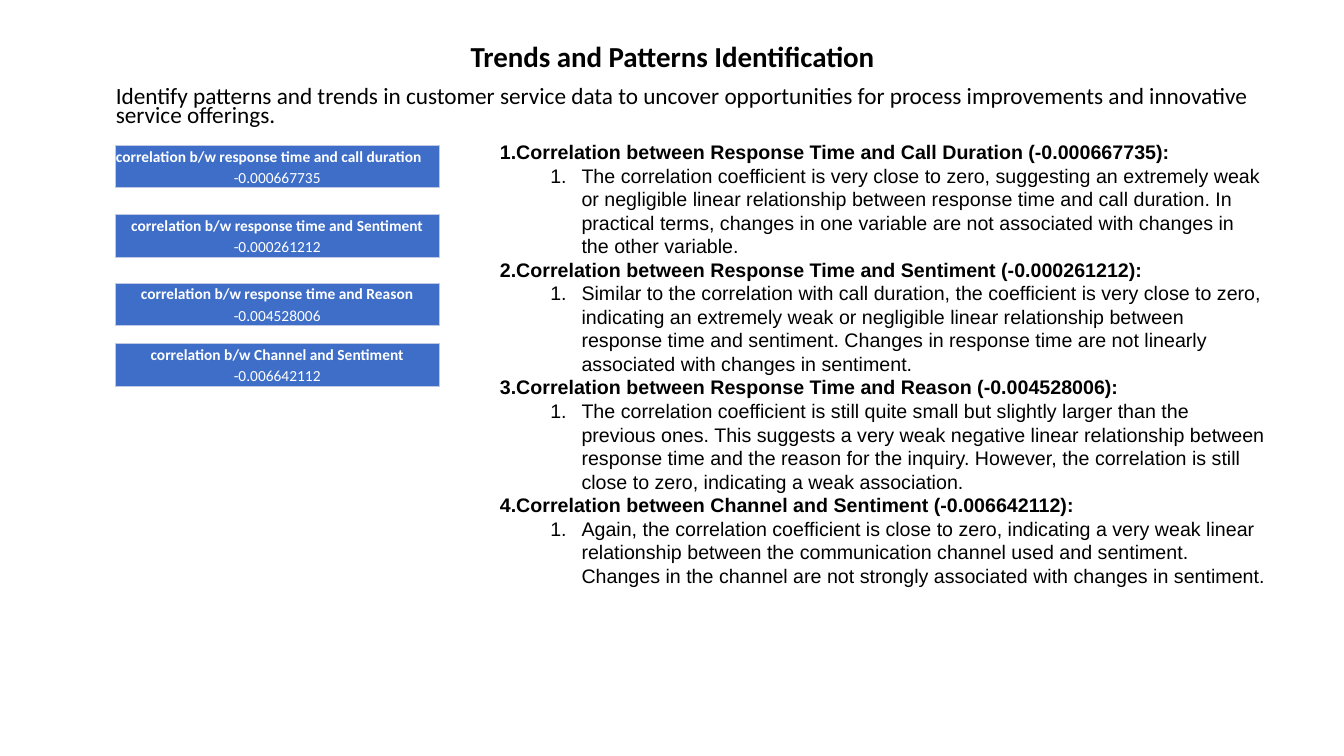
import pptx
import pptx.dml.color
import pptx.enum.text
import pptx.oxml
import pptx.oxml.ns
import pptx.util
from dataclasses import dataclass

TITLE = "Trends and Patterns Identification"
SUBTITLE = ("Identify patterns and trends in customer service data to uncover opportunities "
            "for process improvements and innovative service offerings.")
# table label, table top, row heights, heading, coefficient, finding
CORRELATIONS = [
    ("response time and call duration", 144, (21, 21),
     "Response Time and Call Duration", "-0.000667735",
     "The correlation coefficient is very close to zero, suggesting an extremely weak or "
     "negligible linear relationship between response time and call duration. In practical "
     "terms, changes in one variable are not associated with changes in the other variable."),
    ("response time and Sentiment", 213, (21, 21),
     "Response Time and Sentiment", "-0.000261212",
     "Similar to the correlation with call duration, the coefficient is very close to zero, "
     "indicating an extremely weak or negligible linear relationship between response time and "
     "sentiment. Changes in response time are not linearly associated with changes in sentiment."),
    ("response time and Reason", 281, (20, 22),
     "Response Time and Reason", "-0.004528006",
     "The correlation coefficient is still quite small but slightly larger than the previous "
     "ones. This suggests a very weak negative linear relationship between response time and "
     "the reason for the inquiry. However, the correlation is still close to zero, indicating "
     "a weak association."),
    ("Channel and Sentiment", 341, (21, 21),
     "Channel and Sentiment", "-0.006642112",
     "Again, the correlation coefficient is close to zero, indicating a very weak linear "
     "relationship between the communication channel used and sentiment. Changes in the "
     "channel are not strongly associated with changes in sentiment."),
]
TITLE_BOX = (92, 40, 1150, 35)
SUBTITLE_BOX = (105, 83, 1150, 53)
FINDINGS_BOX = (486, 134, 780, 434)
TABLE_LEFT, TABLE_WIDTH = 114, 322
FINDING_MARGIN, FINDING_INDENT = 81, -31


@dataclass(frozen=True)
class Theme:
    text: str = "000000"
    table_text: str = "FFFFFF"
    table_fill: str = "3E6EC8"
    border: str = "C1C9E4"
    heading_font: str = "Calibri"
    body_font: str = "Arial"
    title_size: float = 20.7
    subtitle_size: float = 16.6
    table_size: float = 11
    body_size: float = 14
    border_width: float = 0.5


THEME = Theme()
ALIGN = pptx.enum.text.PP_ALIGN
ANCHOR = pptx.enum.text.MSO_ANCHOR


def px(length):
    """Convert px, 100 to the inch, to EMU."""
    return pptx.util.Emu(length * 9144)


def place(box):
    return [px(length) for length in box]


def write(paragraph, text, *, size, font=THEME.heading_font, color=THEME.text, bold=False,
          align=ALIGN.LEFT, line_spacing=None, space_before=None):
    paragraph.alignment = align
    if line_spacing:
        paragraph.line_spacing = line_spacing
    if space_before:
        paragraph.space_before = pptx.util.Pt(space_before)
    run = paragraph.add_run()
    run.text = text
    run.font.name = font
    run.font.size = pptx.util.Pt(size)
    run.font.bold = bold
    run.font.color.rgb = pptx.dml.color.RGBColor.from_string(color)


def number(paragraph, margin=0, indent=0):
    properties = paragraph._p.get_or_add_pPr()
    properties.set("marL", str(px(margin)))
    properties.set("indent", str(px(indent)))
    bullet = pptx.oxml.parse_xml(
        f'<a:buAutoNum {pptx.oxml.ns.nsdecls("a")} type="arabicPeriod"/>')
    properties.append(bullet)


def set_borders(cell, visible):
    """Draw the sides named in visible (of L, R, T, B) and hide the others."""
    properties = cell._tc.get_or_add_tcPr()
    for position, side in enumerate("LRTB"):
        paint = (f'<a:solidFill><a:srgbClr val="{THEME.border}"/></a:solidFill>'
                 if side in visible else "<a:noFill/>")
        line = pptx.oxml.parse_xml(
            f'<a:ln{side} {pptx.oxml.ns.nsdecls("a")} '
            f'w="{pptx.util.Pt(THEME.border_width)}">{paint}</a:ln{side}>')
        properties.insert(position, line)


def add_text_box(slide, box):
    frame = slide.shapes.add_textbox(*place(box)).text_frame
    frame.word_wrap = True
    return frame


def add_coefficient_table(slide, label, coefficient, top, row_heights, label_align):
    box = (TABLE_LEFT, top, TABLE_WIDTH, sum(row_heights))
    table = slide.shapes.add_table(2, 1, *place(box)).table
    table.first_row = table.horz_banding = False
    rows = [(f"correlation b/w {label}", True, label_align, "LRT"),
            (coefficient, False, ALIGN.CENTER, "LRB")]
    for index, (text, bold, align, borders) in enumerate(rows):
        table.rows[index].height = px(row_heights[index])
        cell = table.cell(index, 0)
        cell.margin_left = cell.margin_right = cell.margin_top = px(1)
        cell.margin_bottom = 0
        cell.vertical_anchor = ANCHOR.BOTTOM
        cell.fill.solid()
        cell.fill.fore_color.rgb = pptx.dml.color.RGBColor.from_string(THEME.table_fill)
        set_borders(cell, borders)
        write(cell.text_frame.paragraphs[0], text, size=THEME.table_size,
              color=THEME.table_text, bold=bold, align=align)


def main():
    presentation = pptx.Presentation()
    presentation.slide_width, presentation.slide_height = px(1333), px(750)
    slide = presentation.slides.add_slide(presentation.slide_layouts[5])

    title = slide.shapes.title
    title.left, title.top, title.width, title.height = place(TITLE_BOX)
    title.text_frame.auto_size = pptx.enum.text.MSO_AUTO_SIZE.NONE
    title.text_frame.vertical_anchor = ANCHOR.MIDDLE
    write(title.text_frame.paragraphs[0], TITLE, size=THEME.title_size, bold=True,
          align=ALIGN.CENTER, line_spacing=0.9)

    subtitle = add_text_box(slide, SUBTITLE_BOX)
    write(subtitle.paragraphs[0], SUBTITLE, size=THEME.subtitle_size,
          line_spacing=0.7, space_before=10)

    findings = add_text_box(slide, FINDINGS_BOX)
    for index, (label, top, row_heights, heading, coefficient, finding) in enumerate(CORRELATIONS):
        label_align = ALIGN.CENTER if index else ALIGN.LEFT
        add_coefficient_table(slide, label, coefficient, top, row_heights, label_align)

        paragraph = findings.add_paragraph() if index else findings.paragraphs[0]
        write(paragraph, f"Correlation between {heading} ({coefficient}):",
              size=THEME.body_size, font=THEME.body_font, bold=True)
        number(paragraph)
        paragraph = findings.add_paragraph()
        paragraph.level = 1
        write(paragraph, finding, size=THEME.body_size, font=THEME.body_font)
        number(paragraph, FINDING_MARGIN, FINDING_INDENT)

    presentation.save("out.pptx")


if __name__ == "__main__":
    main()
